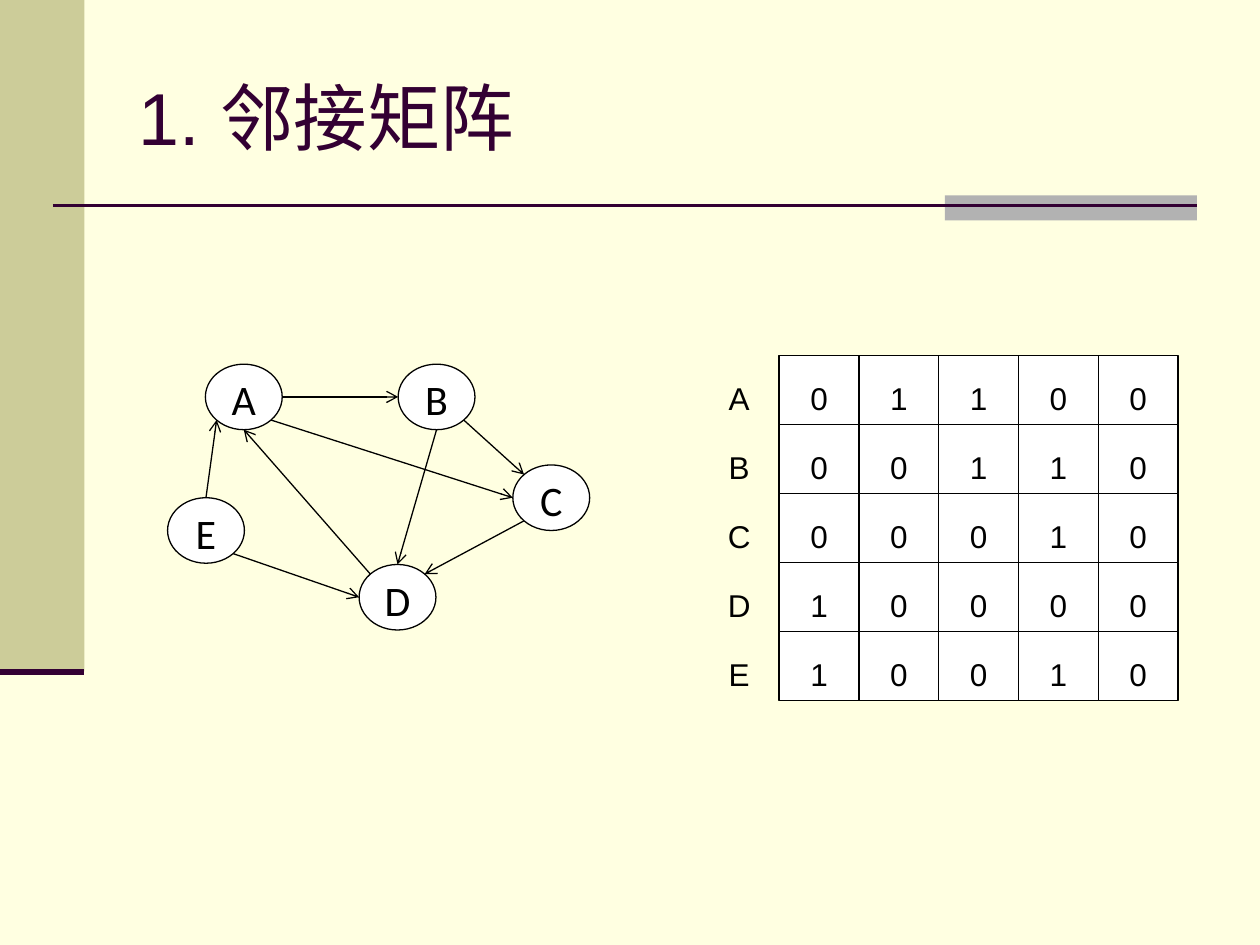
from dataclasses import dataclass
from math import sqrt

from lxml import etree
from pptx import Presentation
from pptx.dml.color import RGBColor
from pptx.enum.shapes import MSO_CONNECTOR, MSO_SHAPE
from pptx.enum.text import MSO_ANCHOR, PP_ALIGN
from pptx.oxml.ns import qn
from pptx.util import Inches, Pt

STRAIGHT = MSO_CONNECTOR.STRAIGHT
RECTANGLE, OVAL = MSO_SHAPE.RECTANGLE, MSO_SHAPE.OVAL
LEFT, CENTER = PP_ALIGN.LEFT, PP_ALIGN.CENTER
TOP, MIDDLE = MSO_ANCHOR.TOP, MSO_ANCHOR.MIDDLE


@dataclass(frozen=True)
class Theme:
    background = RGBColor(0xFF, 0xFF, 0xE1)
    sidebar = RGBColor(0xCC, 0xCC, 0x99)
    accent = RGBColor(0xB2, 0xB2, 0xB2)
    plum = RGBColor(0x33, 0x00, 0x33)
    ink = RGBColor(0, 0, 0)
    paper = RGBColor(0xFF, 0xFF, 0xFF)
    font = "Arial"
    node_font = "Calibri"
    title_size = Pt(42)
    node_size = Pt(24)
    cell_size = Pt(18)
    thin = Pt(0.75)


theme = Theme()


def add_line(start, end, color, width):
    line = slide.shapes.add_connector(STRAIGHT, *map(Inches, start + end))
    line.line.color.rgb = color
    line.line.width = width
    etree.SubElement(line._element.spPr, qn("a:effectLst"))
    return line


def set_text(frame, text, font, size, color):
    frame.margin_left = frame.margin_right = 0
    frame.margin_top = frame.margin_bottom = 0
    frame.word_wrap = True
    frame.vertical_anchor = TOP
    paragraph = frame.paragraphs[0]
    paragraph.text = text
    paragraph.alignment = CENTER
    paragraph.font.name = font
    paragraph.font.size = size
    paragraph.font.color.rgb = color
    return paragraph


prs = Presentation()
prs.slide_width, prs.slide_height = Inches(10), Inches(7.5)
slide = prs.slides.add_slide(prs.slide_layouts[6])
slide.background.fill.solid()
slide.background.fill.fore_color.rgb = theme.background

# Sidebar, accent bar and rules
for box, color in [
    ((0, 0, 0.67, 5.33), theme.sidebar),
    ((7.5, 1.55, 2, 0.2), theme.accent),
]:
    band = slide.shapes.add_shape(RECTANGLE, *map(Inches, box))
    band.shadow.inherit = False
    band.fill.solid()
    band.fill.fore_color.rgb = color
    band.line.fill.background()
add_line((0.42, 1.63), (9.5, 1.63), theme.plum, Pt(1.5))
add_line((0, 5.33), (0.67, 5.33), theme.plum, Pt(3.5))

# Title
title = slide.shapes.add_textbox(Inches(1), Inches(0.3), Inches(8.5), Inches(1.25)).text_frame
heading = set_text(title, "1. 邻接矩阵", theme.font, theme.title_size, theme.plum)
heading.alignment = LEFT
title.margin_left = title.margin_right = Inches(0.1)
title.vertical_anchor = MIDDLE

# Adjacency matrix: each row starts with its vertex label
matrix = ["A01100", "B00110", "C00010", "D10000", "E10010"]
MATRIX_LEFT, MATRIX_TOP = 5.55, 2.82
CELL_W, CELL_H = 3.8 / 6, 2.74 / 5
for r, row in enumerate(matrix):
    for c, value in enumerate(row):
        box = map(Inches, (MATRIX_LEFT + c * CELL_W, MATRIX_TOP + r * CELL_H, CELL_W, CELL_H))
        if c == 0:
            cell = slide.shapes.add_textbox(*box)
        else:
            cell = slide.shapes.add_shape(RECTANGLE, *box)
            cell.shadow.inherit = False
            cell.fill.solid()
            cell.fill.fore_color.rgb = theme.paper
            cell.line.color.rgb = theme.ink
            cell.line.width = theme.thin
        entry = set_text(cell.text_frame, value, theme.font, theme.cell_size, theme.ink)
        entry.line_spacing = 1.5
        cell.text_frame.margin_top = Inches(0.04)

# Directed graph
NODE_W, NODE_H = 0.61, 0.52
nodes = {
    "A": (1.63, 2.89),
    "B": (3.16, 2.89),
    "C": (4.07, 3.69),
    "D": (2.85, 4.48),
    "E": (1.33, 3.95),
}
for label, (left, top) in nodes.items():
    node = slide.shapes.add_shape(
        OVAL, Inches(left), Inches(top), Inches(NODE_W), Inches(NODE_H)
    )
    node.shadow.inherit = False
    node.fill.solid()
    node.fill.fore_color.rgb = theme.paper
    node.line.color.rgb = theme.ink
    node.line.width = theme.thin
    set_text(node.text_frame, label, theme.node_font, theme.node_size, theme.ink)

# Each end is a node and the compass point where the edge meets its rim
diagonal = 1 / sqrt(2)
compass = {
    "N": (0, -1), "S": (0, 1), "W": (-1, 0), "E": (1, 0),
    "NW": (-diagonal, -diagonal), "NE": (diagonal, -diagonal),
    "SW": (-diagonal, diagonal), "SE": (diagonal, diagonal),
}
edges = [
    (("A", "E"), ("B", "W")),
    (("A", "SE"), ("C", "W")),
    (("B", "SE"), ("C", "NW")),
    (("B", "S"), ("D", "N")),
    (("C", "SW"), ("D", "NE")),
    (("D", "NW"), ("A", "S")),
    (("E", "SE"), ("D", "W")),
    (("E", "N"), ("A", "SW")),
]
for edge in edges:
    ends = []
    for label, point in edge:
        (left, top), (dx, dy) = nodes[label], compass[point]
        ends.append((left + NODE_W / 2 * (1 + dx), top + NODE_H / 2 * (1 + dy)))
    arrow = add_line(*ends, theme.ink, theme.thin)
    etree.SubElement(arrow.line._get_or_add_ln(), qn("a:tailEnd"), type="arrow")

prs.save("out.pptx")
